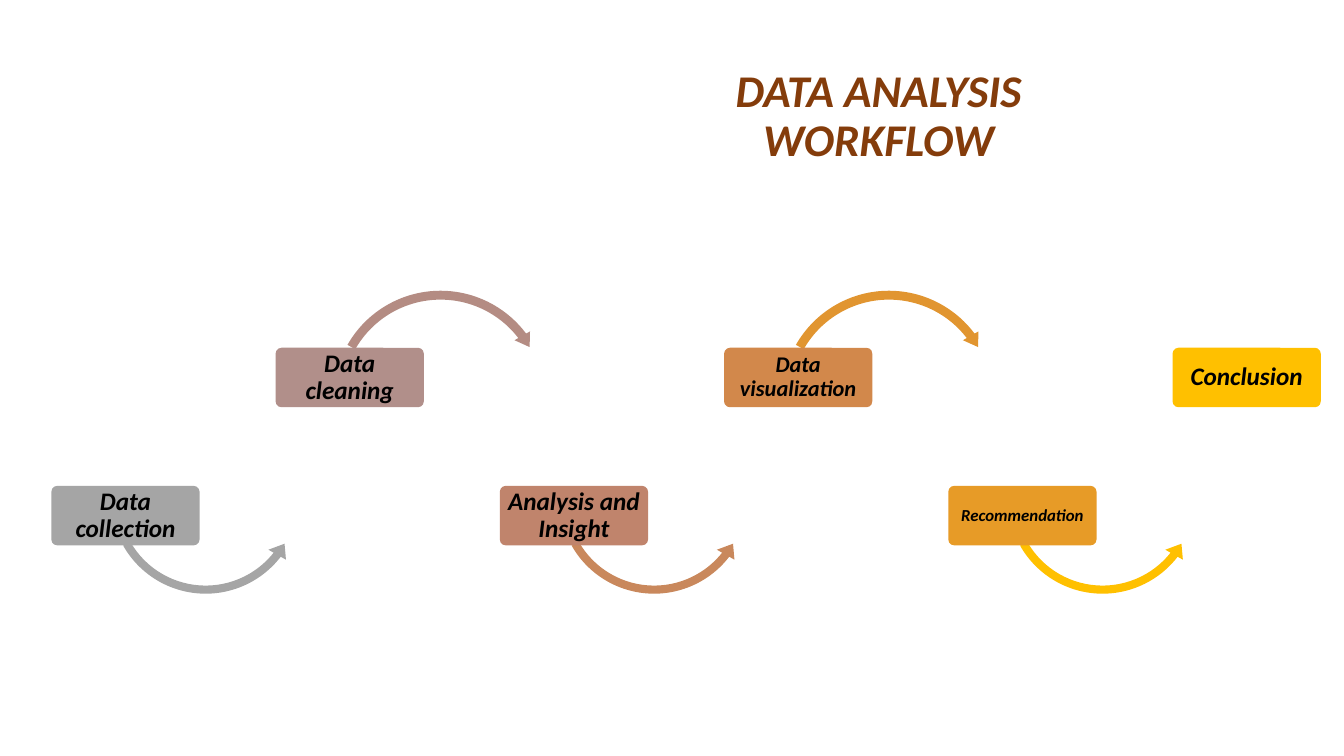
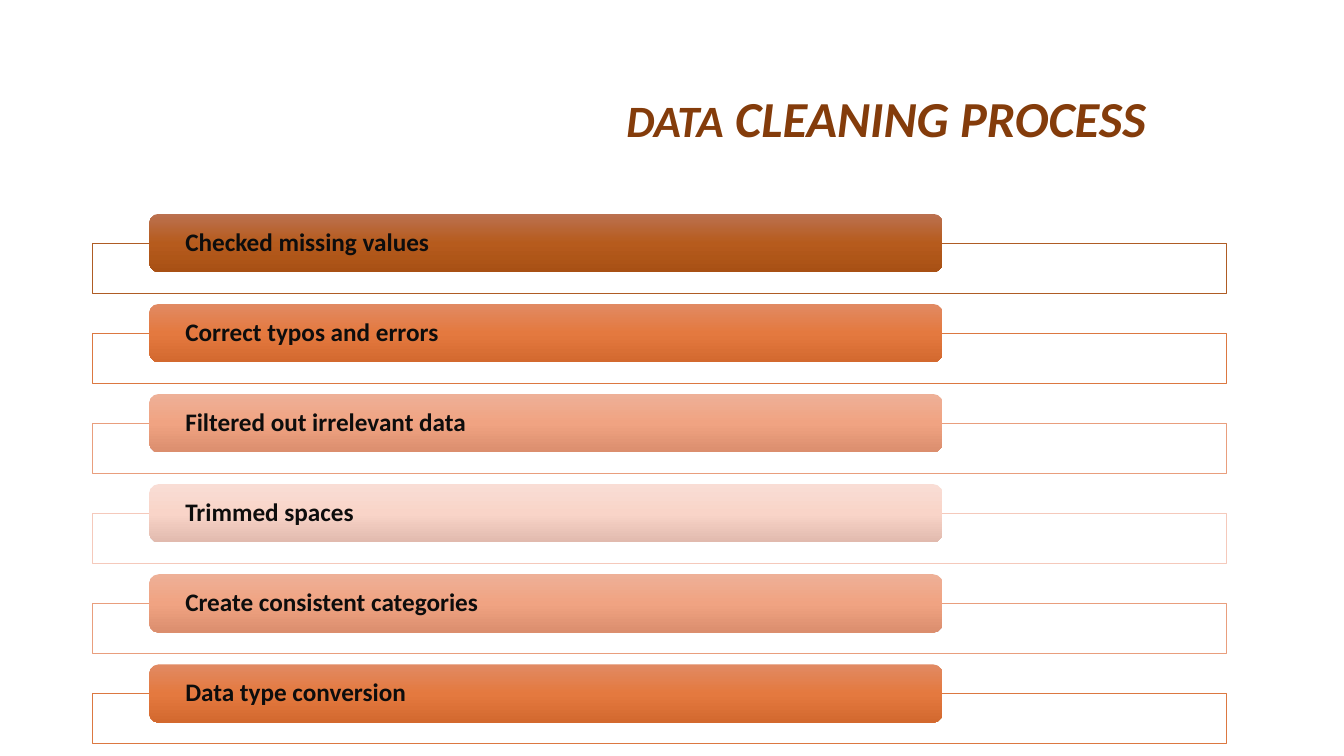
"""Build two slides on a data analysis workflow and its cleaning steps."""
import copy
import dataclasses

import pptx
import pptx.dml.color
import pptx.enum.shapes
import pptx.enum.text
import pptx.oxml.ns
import pptx.util

Inches = pptx.util.Inches
Pt = pptx.util.Pt
RGB = pptx.dml.color.RGBColor.from_string
Kind = pptx.enum.shapes.MSO_SHAPE
Align = pptx.enum.text.PP_ALIGN


@dataclasses.dataclass(frozen=True)
class Theme:
    font: str = "Calibri"
    title: str = "843C0B"
    black: str = "000000"
    ink: str = "0D0D0D"
    white: str = "FFFFFF"
    gray: str = "A5A5A5"
    gold: str = "FFC000"
    head: float = 32.4
    mid: int = 32
    big: int = 36
    body: int = 18
    less: int = 16
    small: int = 12
    thin: float = 0.5


theme = Theme()


def add_form(slide, kind, left, top, width, height, fill=None):
    form = slide.shapes.add_shape(
        kind, Inches(left), Inches(top), Inches(width), Inches(height))
    form.shadow.inherit = False
    form.line.fill.background()
    if fill:
        form.fill.solid()
        form.fill.fore_color.rgb = RGB(fill)
    return form


def write(form, runs, color, align, side, edge, slant):
    frame = form.text_frame
    frame.word_wrap = True
    frame.vertical_anchor = pptx.enum.text.MSO_ANCHOR.MIDDLE
    frame.margin_left = frame.margin_right = Inches(side)
    frame.margin_top = frame.margin_bottom = Inches(edge)
    para = frame.paragraphs[0]
    para.alignment = align
    para.line_spacing = 0.9
    for text, size in runs:
        run = para.add_run()
        run.text = text
        run.font.name = theme.font
        run.font.size = Pt(size)
        run.font.bold = True
        run.font.italic = slant
        run.font.color.rgb = RGB(color)


deck = pptx.Presentation()
deck.slide_width = Inches(13.33)
deck.slide_height = Inches(7.5)
blank = deck.slide_layouts[6]

titles = [
    ((6.03, 0.9, 5.37, 0.52), [("DATA ANALYSIS WORKFLOW", theme.head)]),
    ((5.87, 0.74, 5.84, 0.92),
     [("DATA", theme.mid), (" CLEANING PROCESS", theme.big)]),
]
slides = []
for place, runs in titles:
    slide = deck.slides.add_slide(blank)
    box = slide.shapes.add_textbox(*map(Inches, place))
    write(box, runs, theme.title, Align.CENTER, 0.1, 0.05, True)
    slides.append(slide)
flow, clean = slides

stages = [
    ("Data collection", theme.body, theme.gray, theme.gray),
    ("Data cleaning", theme.body, "B18F8A", "B48C83"),
    ("Analysis and Insight", theme.body, "C0846C", "C9885C"),
    ("Data visualization", theme.less, "D2884B", "E19530"),
    ("Recommendation", theme.small, "E79B27", theme.gold),
    ("Conclusion", theme.body, theme.gold, None),
]
low = (Kind.LEFT_CIRCULAR_ARROW, 4.82, 3.95, 2,
       (0.04, 5.02, 22.78, 90.25, 0.05))
high = (Kind.CIRCULAR_ARROW, 3.45, 2.84, 2.21,
        (0.04, 4.5, 193.74, 125.76, 0.04))
step = (11.63 - 0.51) / (len(stages) - 1)
for num, (name, size, fill, bend) in enumerate(stages):
    kind, top, rise, span, bends = high if num % 2 else low
    left = 0.51 + num * step
    if bend:
        arrow = add_form(flow, kind, left + 0.53, rise, span, span, bend)
        for spot, value in enumerate(bends):
            arrow.adjustments[spot] = value
    box = add_form(flow, Kind.ROUNDED_RECTANGLE, left, top, 1.47, 0.59, fill)
    box.adjustments[0] = 0.1
    write(box, [(name, size)], theme.black, Align.CENTER, 0.05, 0.04, True)

dark = ("AF5C24", "BB7150", "B65B1D", "A85014")
warm = ("DC7841", "E18A63", "E4793F", "D3692F")
soft = ("E99E7D", "EEB097", "F0A382", "DB8E6E")
pale = ("F5C9BB", "F9DDD5", "F9D4C8", "E1BAAE")
tasks = [
    ("Checked missing values", dark),
    ("Correct typos and errors", warm),
    ("Filtered out irrelevant data", soft),
    ("Trimmed spaces", pale),
    ("Create consistent categories", soft),
    ("Data type conversion", warm),
]
step = (6.59 - 2.12) / (len(tasks) - 1)
for num, (name, (edge, *tones)) in enumerate(tasks):
    top = 2.12 + num * step
    frame = add_form(clean, Kind.RECTANGLE, 0.92, top + 0.29, 11.24, 0.5,
                     theme.white)
    frame.line.color.rgb = RGB(edge)
    frame.line.width = Pt(theme.thin)
    bar = add_form(clean, Kind.ROUNDED_RECTANGLE, 1.48, top, 7.87, 0.58)
    bar.fill.gradient()
    bar.fill.gradient_angle = 270
    stops = bar._element.spPr.find(".//" + pptx.oxml.ns.qn("a:gsLst"))
    stops.insert(1, copy.deepcopy(stops[0]))
    for spot, (stop, tone) in enumerate(zip(bar.fill.gradient_stops, tones)):
        stop.position = spot / 2
        stop.color.rgb = RGB(tone)
    write(bar, [(name, theme.body)], theme.ink, Align.LEFT, 0.33, 0.03, False)

deck.save("out.pptx")
